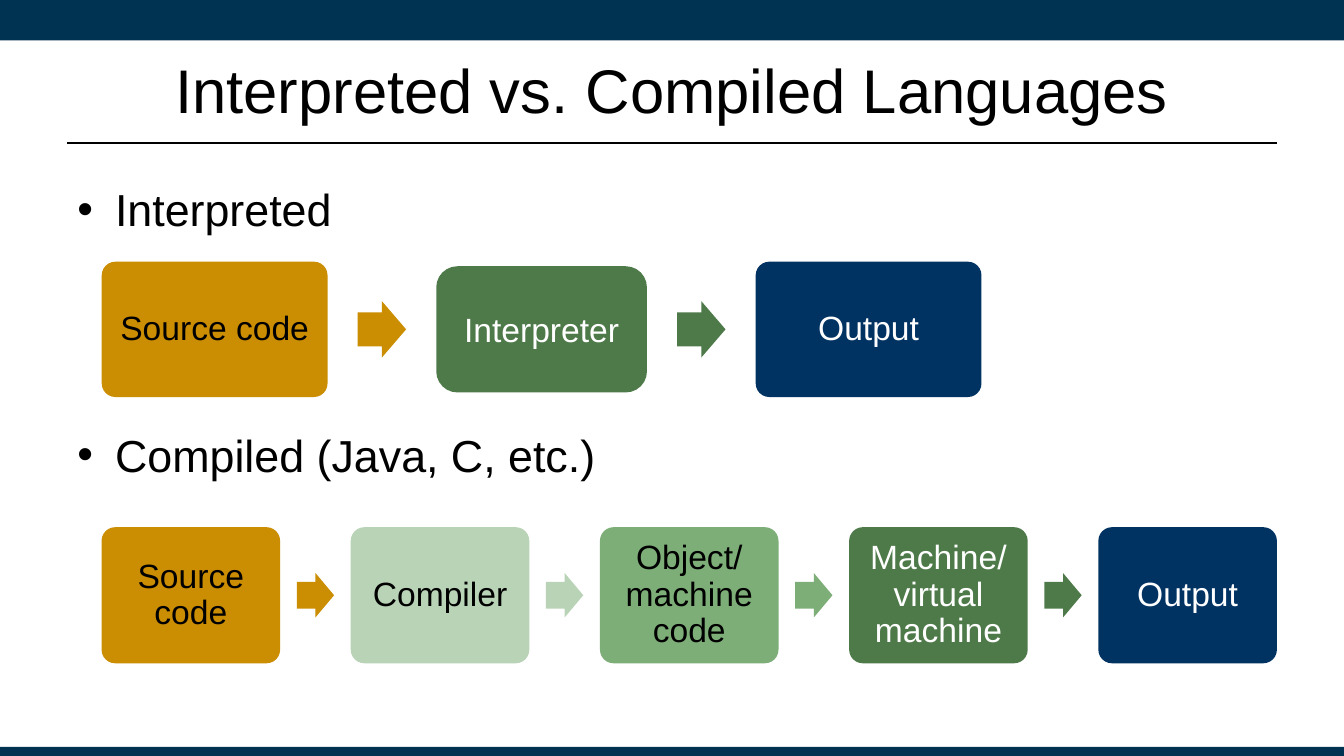
"""Build a slide that compares interpreted and compiled languages."""
from dataclasses import dataclass

from lxml.etree import SubElement
from pptx import Presentation
from pptx.dml.color import RGBColor
from pptx.enum.shapes import MSO_CONNECTOR, MSO_SHAPE
from pptx.enum.text import MSO_ANCHOR, MSO_AUTO_SIZE, PP_ALIGN
from pptx.oxml.ns import qn
from pptx.util import Cm, Pt

FONT = "Arial"
BLACK, WHITE = "000000", "FFFFFF"
BAR, NAVY, GOLD = "003252", "003262", "CB8D01"
PALE_GREEN, MID_GREEN, DARK_GREEN = "B9D3B6", "7EAE78", "4E7A49"
WIDTH, HEIGHT = 33.87, 19.05
LEFT, CONTENT_WIDTH = 1.7, 30.48
INSET = 0.25


@dataclass
class Step:
    """One box of a flow, with sizes in centimetres."""
    text: str
    fill: str
    color: str
    width: float
    height: float
    corner: float = 0.1
    spacing: float = 0.9


def set_color(target, value):
    """Give a fill, or a font's colour, a solid hex colour."""
    if hasattr(target, "solid"):
        target.solid()
        target.fore_color.rgb = RGBColor.from_string(value)
    else:
        target.color.rgb = RGBColor.from_string(value)


def add_run(p, text, size, color):
    """Add a formatted run to a paragraph."""
    r = p.add_run()
    r.text = text
    r.font.name = FONT
    r.font.size = Pt(size)
    set_color(r.font, color)


def set_insets(tf, side, top):
    """Set the text insets and turn on wrapping."""
    tf.margin_left = tf.margin_right = Cm(side)
    tf.margin_top = tf.margin_bottom = Cm(top)
    tf.word_wrap = True


def add_filled(s, kind, left, top, width, height, fill):
    """Add a flat preset shape without outline."""
    sp = s.shapes.add_shape(kind, Cm(left), Cm(top), Cm(width), Cm(height))
    sp.shadow.inherit = False
    set_color(sp.fill, fill)
    sp.line.fill.background()
    return sp


def add_rule(s, y):
    """Add the thin rule below the title."""
    line = s.shapes.add_connector(
        MSO_CONNECTOR.STRAIGHT, Cm(LEFT), Cm(y), Cm(LEFT + CONTENT_WIDTH), Cm(y))
    set_color(line.line.fill, BLACK)
    line.line.width = Pt(1.25)
    SubElement(line.element.spPr, qn("a:effectLst"))


def add_title(s, text):
    """Place and fill the title placeholder."""
    sp = s.shapes.title
    sp.left, sp.top = Cm(LEFT), Cm(0.64)
    sp.width, sp.height = Cm(CONTENT_WIDTH), Cm(3.18)
    tf = sp.text_frame
    set_insets(tf, INSET, 0.13)
    tf.auto_size = MSO_AUTO_SIZE.NONE
    tf.vertical_anchor = MSO_ANCHOR.MIDDLE
    p = tf.paragraphs[0]
    p.alignment = PP_ALIGN.CENTER
    add_run(p, text, 44, BLACK)


def add_bullet(s, text, top, height):
    """Add a bulleted heading across the content width."""
    sp = s.shapes.add_textbox(Cm(LEFT), Cm(top), Cm(CONTENT_WIDTH), Cm(height))
    set_insets(sp.text_frame, INSET, 0.13)
    p = sp.text_frame.paragraphs[0]
    p.space_before = Pt(6)
    add_run(p, text, 32, BLACK)
    pPr = p._p.get_or_add_pPr()
    pPr.set("marL", str(Cm(0.95)))
    pPr.set("indent", str(Cm(-0.95)))
    SubElement(SubElement(pPr, qn("a:buClr")), qn("a:srgbClr"), val=BLACK)
    SubElement(pPr, qn("a:buFont"), typeface=FONT)
    SubElement(pPr, qn("a:buChar"), char="•")


def add_step(s, step, center, middle):
    """Add one rounded box around a centre point."""
    sp = add_filled(s, MSO_SHAPE.ROUNDED_RECTANGLE, center - step.width / 2,
                    middle - step.height / 2, step.width, step.height, step.fill)
    sp.adjustments[0] = step.corner
    tf = sp.text_frame
    set_insets(tf, INSET, INSET)
    tf.vertical_anchor = MSO_ANCHOR.MIDDLE
    p = tf.paragraphs[0]
    p.alignment = PP_ALIGN.CENTER
    p.line_spacing = step.spacing
    add_run(p, step.text, 24, step.color)


def add_arrow(s, center, middle, width, height, fill):
    """Add a block arrow around a centre point."""
    sp = add_filled(s, MSO_SHAPE.RIGHT_ARROW, center - width / 2,
                    middle - height / 2, width, height, fill)
    sp.adjustments[0], sp.adjustments[1] = 0.6, 0.5


def add_flow(s, steps, first_center, pitch, middle, arrow_size):
    """Add evenly spaced boxes with an arrow centred in each gap."""
    centers = [first_center + i * pitch for i in range(len(steps))]
    for step, center in zip(steps, centers):
        add_step(s, step, center, middle)
    for i, (step, following) in enumerate(zip(steps, steps[1:])):
        gap_start = centers[i] + step.width / 2
        gap_end = centers[i + 1] - following.width / 2
        add_arrow(s, (gap_start + gap_end) / 2, middle, *arrow_size, step.fill)


def main():
    """Build and save the slide."""
    prs = Presentation()
    prs.slide_width, prs.slide_height = Cm(WIDTH), Cm(HEIGHT)
    s = prs.slides.add_slide(prs.slide_layouts[5])
    add_filled(s, MSO_SHAPE.RECTANGLE, 0, 0, WIDTH, 1.02, BAR)
    add_filled(s, MSO_SHAPE.RECTANGLE, 0, 18.82, WIDTH, 0.23, BAR)
    add_rule(s, 3.61)
    add_title(s, "Interpreted vs. Compiled Languages")

    add_bullet(s, "Interpreted", 4.45, 1.83)
    interpreted = [
        Step("Source code", GOLD, BLACK, 5.69, 3.41),
        Step("Interpreter", DARK_GREEN, WHITE, 5.31, 3.18, corner=0.167, spacing=1.0),
        Step("Output", NAVY, WHITE, 5.69, 3.41),
    ]
    add_flow(s, interpreted, 5.41, 8.24, 8.3, (1.22, 1.42))

    add_bullet(s, "Compiled (Java, C, etc.)", 10.64, 2.01)
    compiled = [Step(text, fill, color, 4.5, 3.43) for text, fill, color in (
        ("Source code", GOLD, BLACK),
        ("Compiler", PALE_GREEN, BLACK),
        ("Object/ machine code", MID_GREEN, BLACK),
        ("Machine/ virtual machine", DARK_GREEN, WHITE),
        ("Output", NAVY, WHITE),
    )]
    add_flow(s, compiled, 4.81, 6.28, 15, (0.94, 1.12))
    prs.save("out.pptx")


if __name__ == "__main__":
    main()
